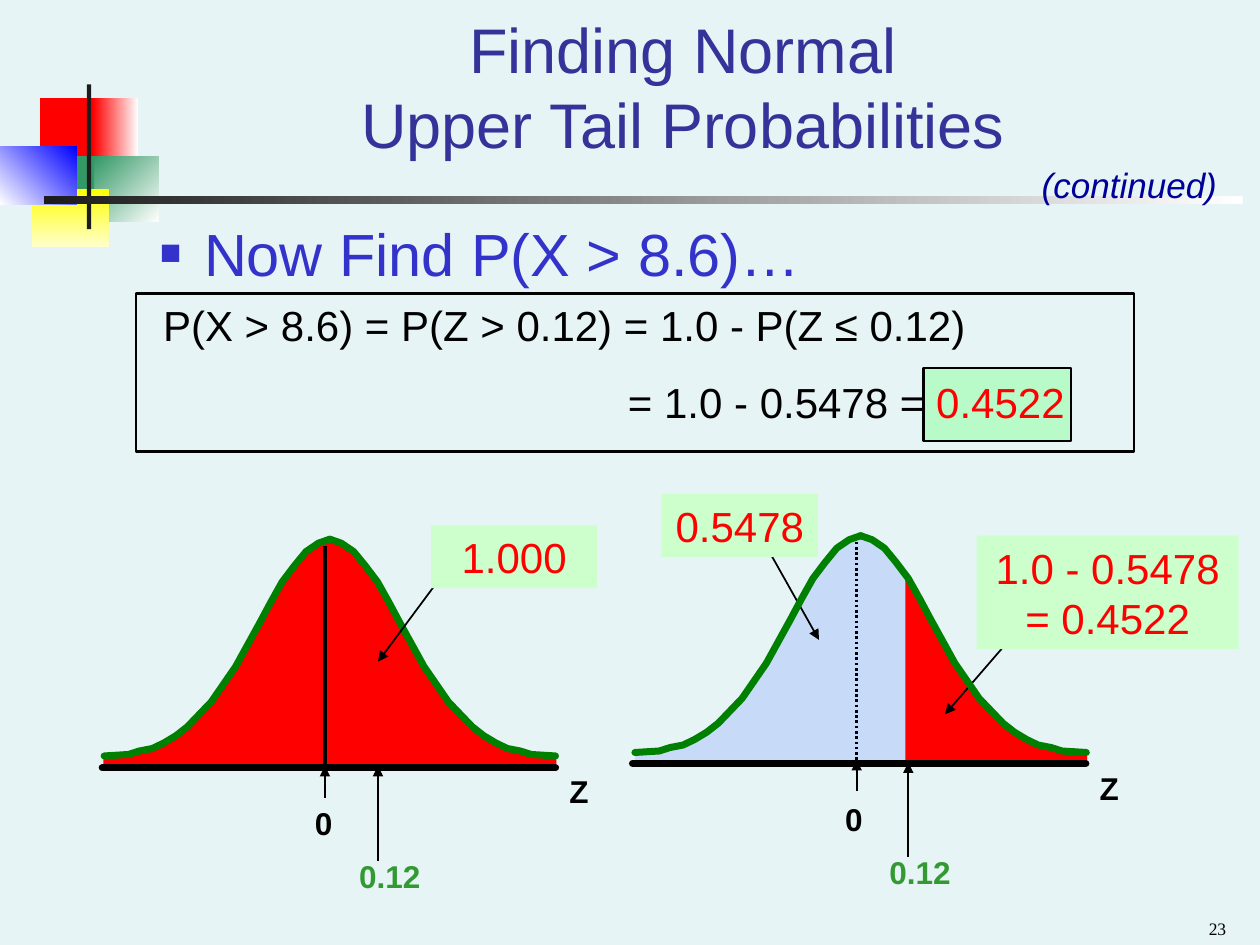
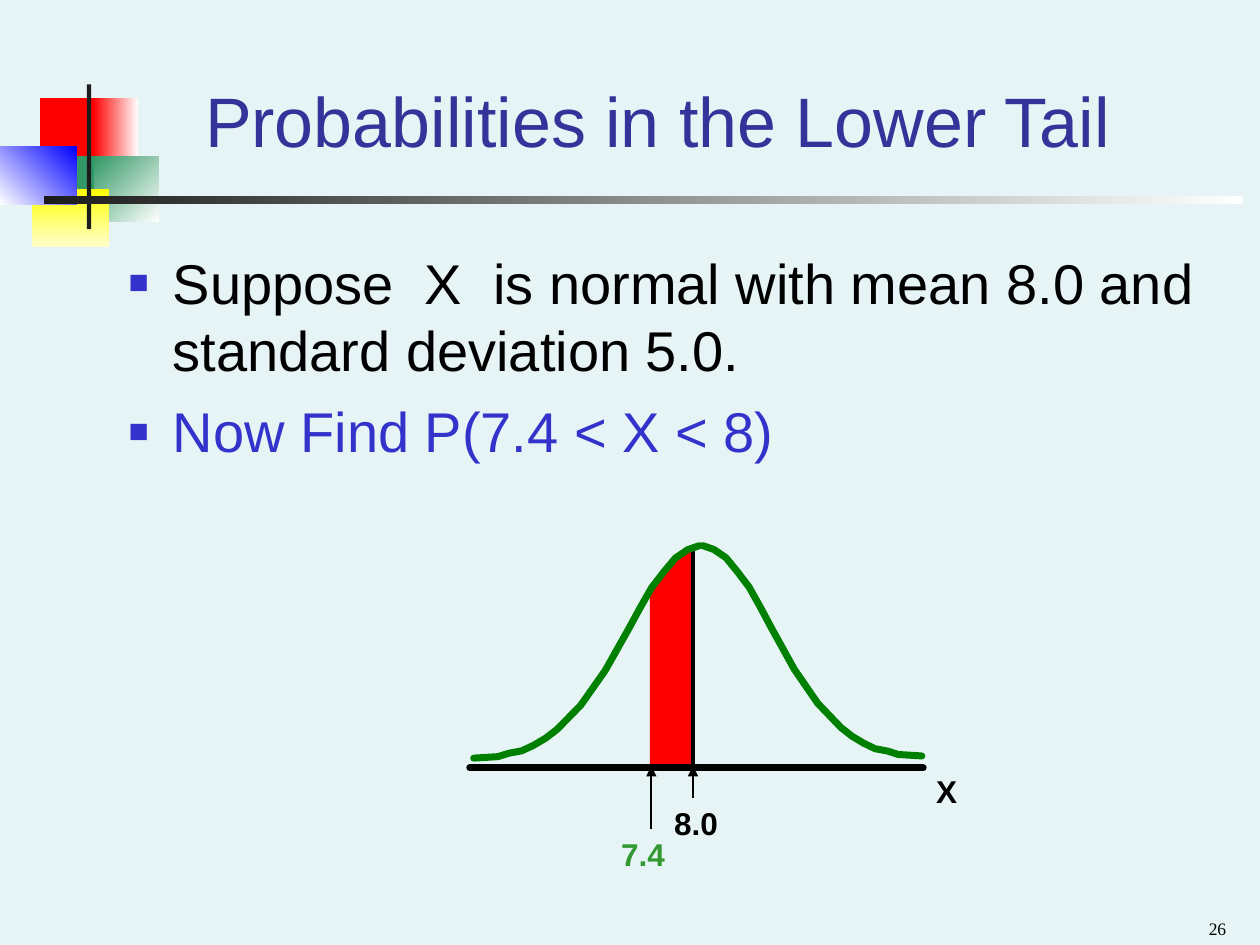
from lxml import etree
from pptx import Presentation
from pptx.dml.color import RGBColor
from pptx.enum.dml import MSO_LINE
from pptx.enum.shapes import MSO_CONNECTOR, MSO_SHAPE
from pptx.enum.text import MSO_ANCHOR, MSO_AUTO_SIZE, PP_ALIGN
from pptx.oxml.ns import qn
from pptx.util import Cm, Pt

RECTANGLE = MSO_SHAPE.RECTANGLE
STRAIGHT = MSO_CONNECTOR.STRAIGHT
DOTTED = MSO_LINE.ROUND_DOT
BOTTOM, MIDDLE = MSO_ANCHOR.BOTTOM, MSO_ANCHOR.MIDDLE
CENTER, RIGHT = PP_ALIGN.CENTER, PP_ALIGN.RIGHT
NO_AUTOFIT = MSO_AUTO_SIZE.NONE

BLACK, RED, CURVE_GREEN, LABEL_GREEN = "000000", "FF0000", "008000", "339933"
TITLE_BLUE, BULLET_BLUE, NAVY = "333399", "3333CC", "000099"
PALE_BLUE, PALE_GREEN, RESULT_GREEN = "C7DAF7", "CCFFCC", "B8FAC8"
BACKGROUND = "E7F4F5"

rgb = RGBColor.from_string


def style(shape, fill=None, line=None, width=1):
    """Give a shape a flat fill and outline, without shadow."""
    shape.shadow.inherit = False
    if fill:
        shape.fill.solid()
        shape.fill.fore_color.rgb = rgb(fill)
    else:
        shape.fill.background()
    if line:
        shape.line.color.rgb = rgb(line)
        shape.line.width = Pt(width)
    else:
        shape.line.fill.background()


def write(paragraph, text, size, color, bold=False, italic=False, font="Arial"):
    """Add one formatted run to a paragraph."""
    run = paragraph.add_run()
    run.text = text
    run.font.name = font
    run.font.size = Pt(size)
    run.font.bold = bold
    run.font.italic = italic
    run.font.color.rgb = rgb(color)


presentation = Presentation()
presentation.slide_width, presentation.slide_height = Cm(25.4), Cm(19.05)
master = presentation.slide_master
master.background.fill.solid()
master.background.fill.fore_color.rgb = rgb(BACKGROUND)
layout = presentation.slide_layouts[1]

# Titles, lists and page numbers: boxes are left, top, width, height in cm
pages = [
    {"number": "23", "title": ["Finding Normal", "Upper Tail Probabilities"], "title_size": 36,
     "title_box": (2.97, 0.64, 21.59, 2.74), "body_box": (2.97, 4.24, 14.61, 1.9), "body_size": 34,
     "bullets": [("Now Find P(X > 8.6)…", BULLET_BLUE)]},
    {"number": "26", "title": ["Probabilities in the Lower Tail"], "title_size": 40,
     "title_box": (3, 0.64, 20.5, 2.74), "body_box": (2.34, 4.88, 22.43, 12.6), "body_size": 32,
     "bullets": [("Suppose  X  is normal with mean 8.0 and standard deviation 5.0.", BLACK),
                 ("Now Find P(7.4 < X < 8)", BULLET_BLUE)]},
]
for page in pages:
    slide = presentation.slides.add_slide(layout)
    title, body = slide.shapes.title, slide.placeholders[1]
    for placeholder, box in ((title, page["title_box"]), (body, page["body_box"])):
        placeholder.left, placeholder.top, placeholder.width, placeholder.height = map(Cm, box)
        placeholder.text_frame.auto_size = NO_AUTOFIT

    title.text_frame.vertical_anchor = BOTTOM
    paragraph = title.text_frame.paragraphs[0]
    paragraph.alignment = CENTER
    for index, line in enumerate(page["title"]):
        if index:
            paragraph.add_line_break()
        write(paragraph, line, page["title_size"], TITLE_BLUE)

    for index, (text, color) in enumerate(page["bullets"]):
        paragraph = body.text_frame.add_paragraph() if index else body.text_frame.paragraphs[0]
        properties = paragraph._p.get_or_add_pPr()
        properties.set("marL", str(Cm(0.89)))
        properties.set("indent", str(Cm(-0.89)))
        bullet_color = etree.SubElement(properties, qn("a:buClr"))
        etree.SubElement(bullet_color, qn("a:srgbClr"), val=BULLET_BLUE)
        etree.SubElement(properties, qn("a:buSzPct"), val="60000")
        etree.SubElement(properties, qn("a:buFont"), typeface="Arial")
        etree.SubElement(properties, qn("a:buChar"), char="■")
        paragraph.space_before = Pt(8 if index else 0)
        write(paragraph, text, page["body_size"], color)

    number_box = slide.shapes.add_textbox(Cm(19.05), Cm(18.16), Cm(5.92), Cm(0.89))
    number_box.text_frame.vertical_anchor = BOTTOM
    paragraph = number_box.text_frame.paragraphs[0]
    paragraph.alignment = RIGHT
    write(paragraph, page["number"], 10, BLACK, font="Times New Roman")

upper_tail, lower_tail = presentation.slides

# Master ornament: box, first colour, last colour, clockwise gradient angle
ornament = [
    ((0.81, 1.98, 1.22, 1.32), RED, None, 0),
    ((1.88, 1.98, 0.91, 1.32), "FFFFFF", RED, 180),
    ((1.9, 3.15, 1.3, 1.32), "FFFFFF", "339966", 225),
    ((1.09, 3.15, 0.81, 1.32), "339966", None, 0),
    ((0.64, 3.81, 1.55, 1.17), "FFFF00", "FFFFCC", 90),
    ((0, 2.95, 1.55, 1.17), "0000FF", "FFFFFF", 135),
    ((1.75, 1.7, 0.09, 2.92), "1C1C1C", None, 0),
    ((0.89, 3.96, 24.16, 0.15), "FFFFFF", "1C1C1C", 180),
]
for index, (box, first, last, angle) in enumerate(ornament):
    block = upper_tail.shapes.add_shape(RECTANGLE, *map(Cm, box))
    style(block, first)
    if last:
        block.fill.gradient()
        block.fill.gradient_angle = 360 - angle
        for stop, color in zip(block.fill.gradient_stops, (first, last)):
            stop.color.rgb = rgb(color)
    block.element.xpath("./p:nvSpPr/p:cNvPr")[0].set("id", str(100 + index))
    master.shapes.element.append(block.element)

# Calculation of the upper tail
for box, fill in (((2.74, 5.92, 20.12, 3.18), None), ((18.62, 7.42, 2.97, 1.47), RESULT_GREEN)):
    frame = upper_tail.shapes.add_shape(RECTANGLE, *map(Cm, box))
    style(frame, fill, BLACK, 1.5)

calculation = upper_tail.shapes.add_textbox(Cm(2.34), Cm(5.92), Cm(21.39), Cm(2.82))
calculation.text_frame.word_wrap = True
steps = [
    (0.7, [("P(X > 8.6) = P(Z > 0.12) = 1.0 - P(Z ≤ 0.12)", BLACK)]),
    (10.07, [("= 1.0 - 0.5478 = ", BLACK), ("0.4522", RED)]),
]
for index, (indent, parts) in enumerate(steps):
    paragraph = calculation.text_frame.add_paragraph() if index else calculation.text_frame.paragraphs[0]
    paragraph._p.get_or_add_pPr().set("marL", str(Cm(indent)))
    paragraph.space_before = Pt(15 if index else 0)
    for text, color in parts:
        write(paragraph, text, 24, color)

continued = upper_tail.shapes.add_textbox(Cm(20.75), Cm(3.18), Cm(4.24), Cm(1.12))
continued.text_frame.word_wrap = True
write(continued.text_frame.paragraphs[0], "(continued)", 20, NAVY, italic=True)

# Normal curves: offsets in cm from the peak outwards and downwards
HALF_BELL = [
    (0, 0), (0.23, 0.08), (0.48, 0.25), (0.71, 0.53), (0.96, 0.86), (1.19, 1.27),
    (1.42, 1.7), (1.9, 2.57), (2.39, 3.28), (2.87, 3.78), (3.1, 3.96), (3.35, 4.11),
    (3.58, 4.22), (3.84, 4.27), (4.06, 4.34), (4.55, 4.37),
]
AXIS_LENGTH = 9.14

# halves: peak x, peak y, horizontal and vertical scale
# shades: from x, to x, fill, outline
# lines: start x, start y, end x, end y, width, look, behind the curve
# labels: left, top, width, text, colour
# callouts: box, text
bells = [
    {"slide": upper_tail, "axis": (2.06, 15.48),
     "halves": [(6.65, 10.87, -1, 1), (6.65, 10.87, 1, 1)],
     "shades": [(2, 11.3, RED, RED)],
     "lines": [(6.55, 11, 6.55, 15.44, 2.5, "solid", True),
               (8.89, 11.63, 7.62, 13.34, 1, "arrow", False),
               (6.55, 16.08, 6.55, 15.44, 1, "arrow", False),
               (7.62, 17.35, 7.62, 15.44, 1, "arrow", False)],
     "labels": [(11.23, 15.44, 1.07, "Z", BLACK), (6.1, 16.08, 1, "0", BLACK),
                (6.99, 17.15, 1.9, "0.12", LABEL_GREEN)],
     "callouts": [((8.69, 10.59, 3.35, 1.27), "1.000")]},
    {"slide": upper_tail, "axis": (12.75, 15.39),
     "halves": [(17.35, 10.8, -1, 1), (17.35, 10.8, 1, 1)],
     "shades": [(12.7, 18.27, PALE_BLUE, None), (18.27, 22, RED, RED)],
     "lines": [(15.44, 11, 16.51, 12.9, 1, "arrow", True),
               (20.52, 12.7, 19.05, 14.4, 1, "arrow", True),
               (17.27, 10.92, 17.27, 15.37, 1.5, "dotted", True),
               (17.27, 15.95, 17.27, 15.32, 1, "arrow", False),
               (18.31, 17.27, 18.31, 15.37, 1, "arrow", False)],
     "labels": [(21.92, 15.37, 1.07, "Z", BLACK), (16.79, 16, 1, "0", BLACK),
                (17.68, 17.07, 1.9, "0.12", LABEL_GREEN)],
     "callouts": [((13.34, 9.96, 3.15, 1.27), "0.5478"),
                  ((19.69, 10.8, 5.28, 2.29), "1.0 - 0.5478 = 0.4522")]},
    {"slide": lower_tail, "axis": (9.47, 15.48),
     "halves": [(14.1, 11, -1, 0.98), (14.17, 11, 0.97, 0.97)],
     "shades": [(13.1, 13.97, RED, None)],
     "lines": [(13.97, 11, 13.97, 15.44, 2.5, "solid", True),
               (13.97, 16.08, 13.97, 15.44, 1, "arrow", False),
               (13.13, 16.71, 13.13, 15.44, 1, "arrow", False)],
     "labels": [(18.62, 15.44, 1.07, "X", BLACK), (12.27, 16.71, 1.6, "7.4", LABEL_GREEN),
                (13.34, 16.08, 1.6, "8.0", BLACK)],
     "callouts": []},
]
for bell in bells:
    shapes = bell["slide"].shapes
    axis_left, axis_y = bell["axis"]
    halves = [[(peak_x + x * scale_x, peak_y + y * scale_y) for x, y in HALF_BELL]
              for peak_x, peak_y, scale_x, scale_y in bell["halves"]]
    outline = halves[0][::-1] + halves[1]

    for start, end, fill, line in bell["shades"]:
        top = [point for point in outline if start <= point[0] <= end]
        for edge in (start, end):
            for (x1, y1), (x2, y2) in zip(outline, outline[1:]):
                if x1 < edge < x2:
                    top.append((edge, y1 + (y2 - y1) * (edge - x1) / (x2 - x1)))
        top.sort()
        corners = [(top[0][0], axis_y)] + top + [(top[-1][0], axis_y)]
        builder = shapes.build_freeform(Cm(corners[0][0]), Cm(axis_y))
        builder.add_line_segments([(Cm(x), Cm(y)) for x, y in corners[1:]], close=True)
        style(builder.convert_to_shape(), fill, line)

    curves = []
    for half in halves:
        builder = shapes.build_freeform(*map(Cm, half[0]))
        builder.add_line_segments([(Cm(x), Cm(y)) for x, y in half[1:]], close=False)
        curve = builder.convert_to_shape()
        style(curve, None, CURVE_GREEN, 4)
        curve.element.xpath(".//a:ln")[0].set("cap", "rnd")
        curves.append(curve)

    axis = (axis_left, axis_y, axis_left + AXIS_LENGTH, axis_y, 4, "round", False)
    for x1, y1, x2, y2, width, look, behind in [axis] + bell["lines"]:
        connector = shapes.add_connector(STRAIGHT, Cm(x1), Cm(y1), Cm(x2), Cm(y2))
        connector.line.color.rgb = rgb(BLACK)
        connector.line.width = Pt(width)
        if look == "dotted":
            connector.line.dash_style = DOTTED
        outline_xml = connector.element.xpath(".//a:ln")[0]
        if look == "round":
            outline_xml.set("cap", "rnd")
        if look == "arrow":
            etree.SubElement(outline_xml, qn("a:tailEnd"), type="triangle")
        etree.SubElement(connector.element.spPr, qn("a:effectLst"))
        if behind:
            curves[0].element.addprevious(connector.element)

    for left, top, width, text, color in bell["labels"]:
        label = shapes.add_textbox(Cm(left), Cm(top), Cm(width), Cm(1.02))
        label.text_frame.word_wrap = True
        write(label.text_frame.paragraphs[0], text, 18, color, bold=True)

    for box, text in bell["callouts"]:
        callout = shapes.add_shape(RECTANGLE, *map(Cm, box))
        style(callout, PALE_GREEN)
        callout.text_frame.word_wrap = True
        callout.text_frame.vertical_anchor = MIDDLE
        paragraph = callout.text_frame.paragraphs[0]
        paragraph.alignment = CENTER
        write(paragraph, text, 24, RED)

presentation.save("out.pptx")
